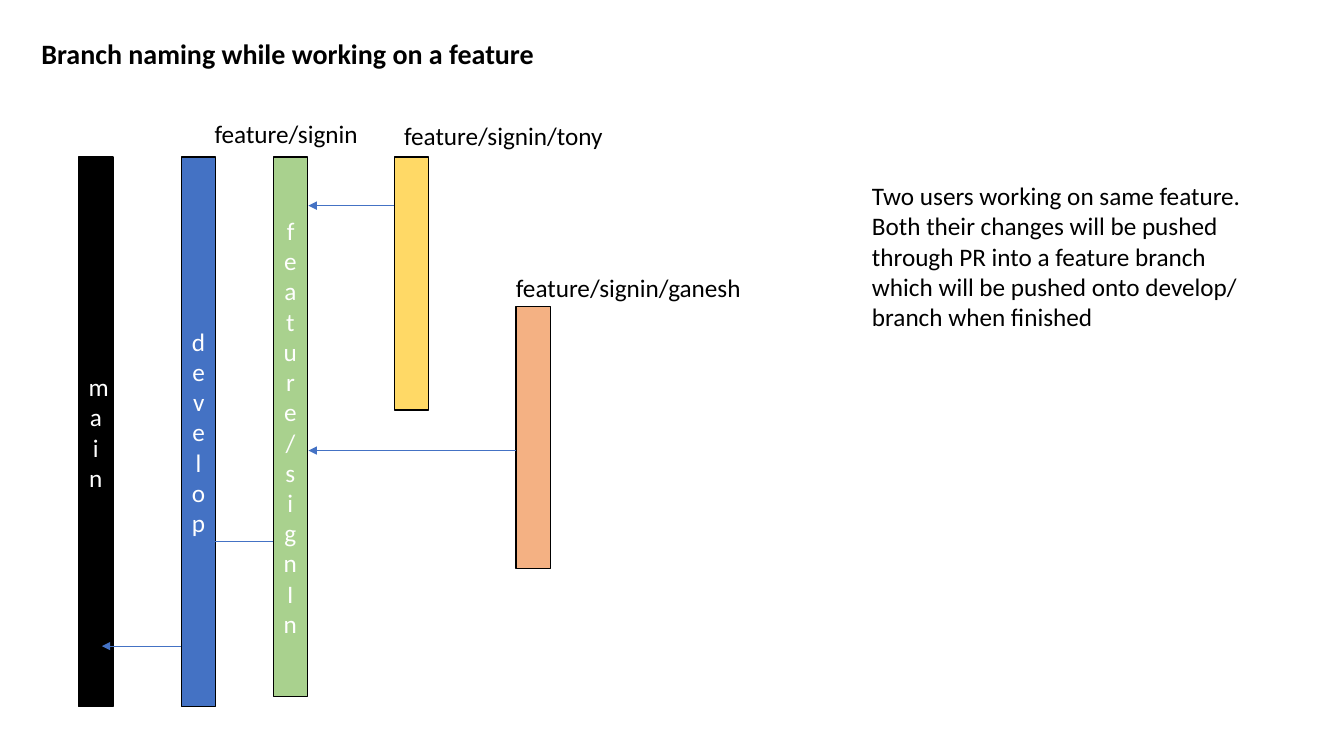
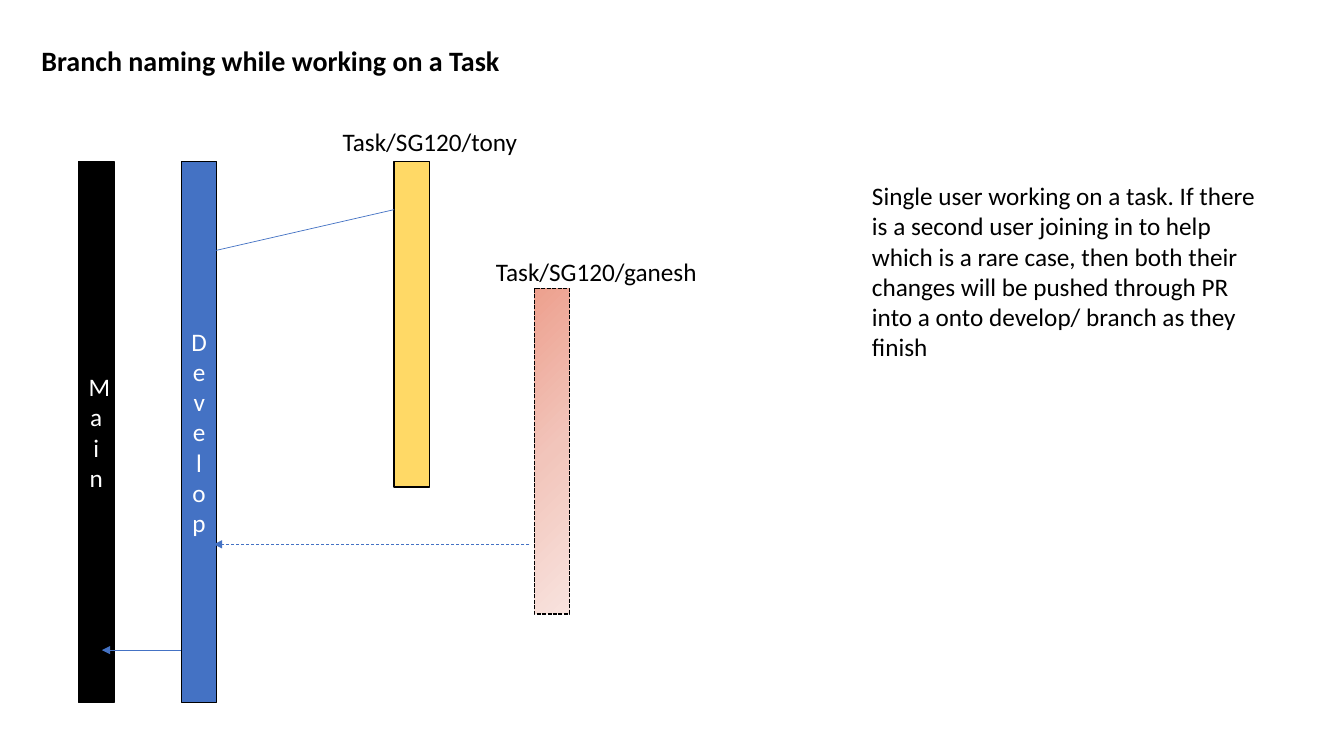
"""Two slides on branch naming, drawn as vertical branch lanes."""
from copy import deepcopy
from dataclasses import dataclass

from lxml import etree
from pptx import Presentation
from pptx.dml.color import RGBColor
from pptx.enum.dml import MSO_LINE
from pptx.enum.shapes import MSO_CONNECTOR, MSO_SHAPE
from pptx.enum.text import MSO_ANCHOR, MSO_AUTO_SIZE, PP_ALIGN
from pptx.oxml.ns import qn
from pptx.util import Inches, Pt

RECTANGLE = MSO_SHAPE.RECTANGLE
STRAIGHT = MSO_CONNECTOR.STRAIGHT
LANE_DASH, ARROW_DASH = MSO_LINE.SQUARE_DOT, MSO_LINE.DASH
TOP, MIDDLE = MSO_ANCHOR.TOP, MSO_ANCHOR.MIDDLE
LEFT, CENTER = PP_ALIGN.LEFT, PP_ALIGN.CENTER
NO_FIT, GROW = MSO_AUTO_SIZE.NONE, MSO_AUTO_SIZE.SHAPE_TO_FIT_TEXT
TITLE_AND_CONTENT = 1

SLIDE_W, SLIDE_H = Inches(13.33), Inches(7.5)

# Lane positions, in hundredths of the slide width
MAIN, DEVELOP, FEATURE, TONY = 5.85, 13.5, 20.33, 29.33
# Where arrows end inside the main and develop lanes
INTO_MAIN, INTO_DEVELOP = 7.58, 15.23


@dataclass(frozen=True)
class Theme:
    """Colours (RRGGBB) and type sizes (points) of the deck."""
    font: str = "Calibri"
    title_size: int = 20
    text_size: int = 18
    lane_line: float = 1
    arrow_line: float = 0.5
    ink: str = "000000"
    paper: str = "FFFFFF"
    blue: str = "4472C4"
    green: str = "A9D18E"
    yellow: str = "FFD966"
    orange: str = "F4B183"
    fade: tuple = ("EDA08E", "F2C5BB", "F8E3DE")


THEME = Theme()


def across(share):
    """Hundredths of the slide width as a length."""
    return round(SLIDE_W * share / 100)


def down(share):
    """Hundredths of the slide height as a length."""
    return round(SLIDE_H * share / 100)


def box(left, top, width, height):
    """Turn four shares into left, top, width and height."""
    return across(left), down(top), across(width), down(height)


def rgb(code):
    """Colour object for a hex code."""
    return RGBColor.from_string(code)


def write(frame, text, color=THEME.ink, size=THEME.text_size, bold=False,
          align=LEFT, anchor=TOP, wrap=True, fit=GROW):
    """Put one formatted paragraph into a text frame."""
    frame.text = text
    frame.word_wrap, frame.auto_size = wrap, fit
    frame.vertical_anchor = anchor
    paragraph = frame.paragraphs[0]
    paragraph.alignment = align
    paragraph.space_before = Pt(0)
    for run in paragraph.runs:
        run.font.name, run.font.size, run.font.bold = THEME.font, Pt(size), bold
        run.font.color.rgb = rgb(color)
    return paragraph


def place(shape, area):
    """Move a placeholder to an area."""
    shape.left, shape.top, shape.width, shape.height = box(*area)


def add_branch_slide(deck, title, title_area, note, note_height):
    """Add a slide with its title and the note on the right."""
    slide = deck.slides.add_slide(deck.slide_layouts[TITLE_AND_CONTENT])
    heading, body = slide.placeholders
    place(heading, title_area)
    write(heading.text_frame, title, size=THEME.title_size, bold=True)
    place(body, (64.13, 23.2, 30.08, note_height))
    properties = write(body.text_frame, note)._p.get_or_add_pPr()
    properties.set("marL", "0")
    properties.set("indent", "0")
    etree.SubElement(properties, qn("a:buNone"))
    return slide


def add_lane(slide, area, color, name=""):
    """Add a branch lane, its name running down it letter by letter."""
    lane = slide.shapes.add_shape(RECTANGLE, *box(*area))
    lane.shadow.inherit = False
    lane.fill.solid()
    lane.fill.fore_color.rgb = rgb(color)
    lane.line.color.rgb = rgb(THEME.ink)
    lane.line.width = Pt(THEME.lane_line)
    if name:
        write(lane.text_frame, name, THEME.paper, align=CENTER, anchor=MIDDLE,
              fit=NO_FIT)
    return lane


def fade_lane(lane):
    """Mark a lane as optional: faded fill and dashed outline."""
    lane.line.dash_style = LANE_DASH
    lane.fill.gradient()
    lane.fill.gradient_angle = 315
    first = lane._element.spPr.find(".//" + qn("a:gs"))
    first.addnext(deepcopy(first))
    for position, stop, color in zip((0, 0.5, 1), lane.fill.gradient_stops,
                                     THEME.fade):
        stop.position = position
        stop.color.rgb = rgb(color)


def add_merge(slide, start, end, dash=None):
    """Add a merge arrow between two (across, down) points."""
    arrow = slide.shapes.add_connector(
        STRAIGHT, across(start[0]), down(start[1]), across(end[0]), down(end[1]))
    arrow.line.color.rgb = rgb(THEME.blue)
    arrow.line.width = Pt(THEME.arrow_line)
    if dash:
        arrow.line.dash_style = dash
    properties = arrow._element.spPr
    etree.SubElement(properties.find(qn("a:ln")), qn("a:tailEnd"), type="triangle")
    etree.SubElement(properties, qn("a:effectLst"))


def add_label(slide, text, left, top, width):
    """Add a branch name above its lane."""
    label = slide.shapes.add_textbox(*box(left, top, width, 5.33))
    write(label.text_frame, text, wrap=False)


def add_feature_slide(deck):
    """Two users sharing one feature branch."""
    slide = add_branch_slide(
        deck, "Branch naming while working on a feature", (2.33, 4.13, 41.18, 5.87),
        "Two users working on same feature. Both their changes will be pushed "
        "through PR into a feature branch which will be pushed onto develop/ "
        "branch when finished", 21.6)
    top, width, ganesh, into_feature = 20.8, 2.55, 38.4, 22.95
    for left, lane_top, height, color, name in (
            (MAIN, top, 72.67, THEME.ink, "main"),
            (DEVELOP, top, 72.67, THEME.blue, "develop"),
            (FEATURE, top, 71.33, THEME.green, "feature/signIn"),
            (TONY, top, 33.47, THEME.yellow, ""),
            (ganesh, 40.53, 34.67, THEME.orange, "")):
        add_lane(slide, (left, lane_top, width, height), color, name)
    for source, target, level in (
            (TONY, into_feature, 27.2), (ganesh, into_feature, 59.6),
            (FEATURE, INTO_DEVELOP, 71.6), (DEVELOP, INTO_MAIN, 85.47)):
        add_merge(slide, (source, level), (target, level))
    add_label(slide, "feature/signin/tony", TONY, 15.2, 16.43)
    add_label(slide, "feature/signin/ganesh", 37.65, 35.33, 18.45)
    add_label(slide, "feature/signin", 15.23, 14.93, 12.3)


def add_task_slide(deck):
    """One user on a task, with an optional second user."""
    slide = add_branch_slide(
        deck, "Branch naming while working on a Task", (2.33, 5.07, 61.05, 5.87),
        "Single user working on a task. If there is a second user joining in to "
        "help which is a rare case, then both their changes will be pushed "
        "through PR into a onto develop/ branch as they finish", 25.6)
    top, width, trunk, task, ganesh = 21.33, 2.63, 71.6, 43.07, 39.75
    add_lane(slide, (MAIN, top, width, trunk), THEME.ink, "Main")
    add_lane(slide, (DEVELOP, top, width, trunk), THEME.blue, "Develop")
    add_lane(slide, (TONY, top, width, task), THEME.yellow)
    fade_lane(add_lane(slide, (ganesh, 38.13, width, task), THEME.paper))
    add_merge(slide, (TONY, 27.73), (INTO_DEVELOP, 33.47))
    add_merge(slide, (DEVELOP, 86), (INTO_MAIN, 86))
    add_merge(slide, (39.38, 72), (15.9, 72), ARROW_DASH)
    add_label(slide, "Task/SG120/tony", 24.75, 16, 14.63)
    add_label(slide, "Task/SG120/ganesh", 36.15, 33.2, 16.65)


def main():
    """Build and save the deck."""
    deck = Presentation()
    deck.slide_width, deck.slide_height = SLIDE_W, SLIDE_H
    add_feature_slide(deck)
    add_task_slide(deck)
    deck.save("out.pptx")


main()
